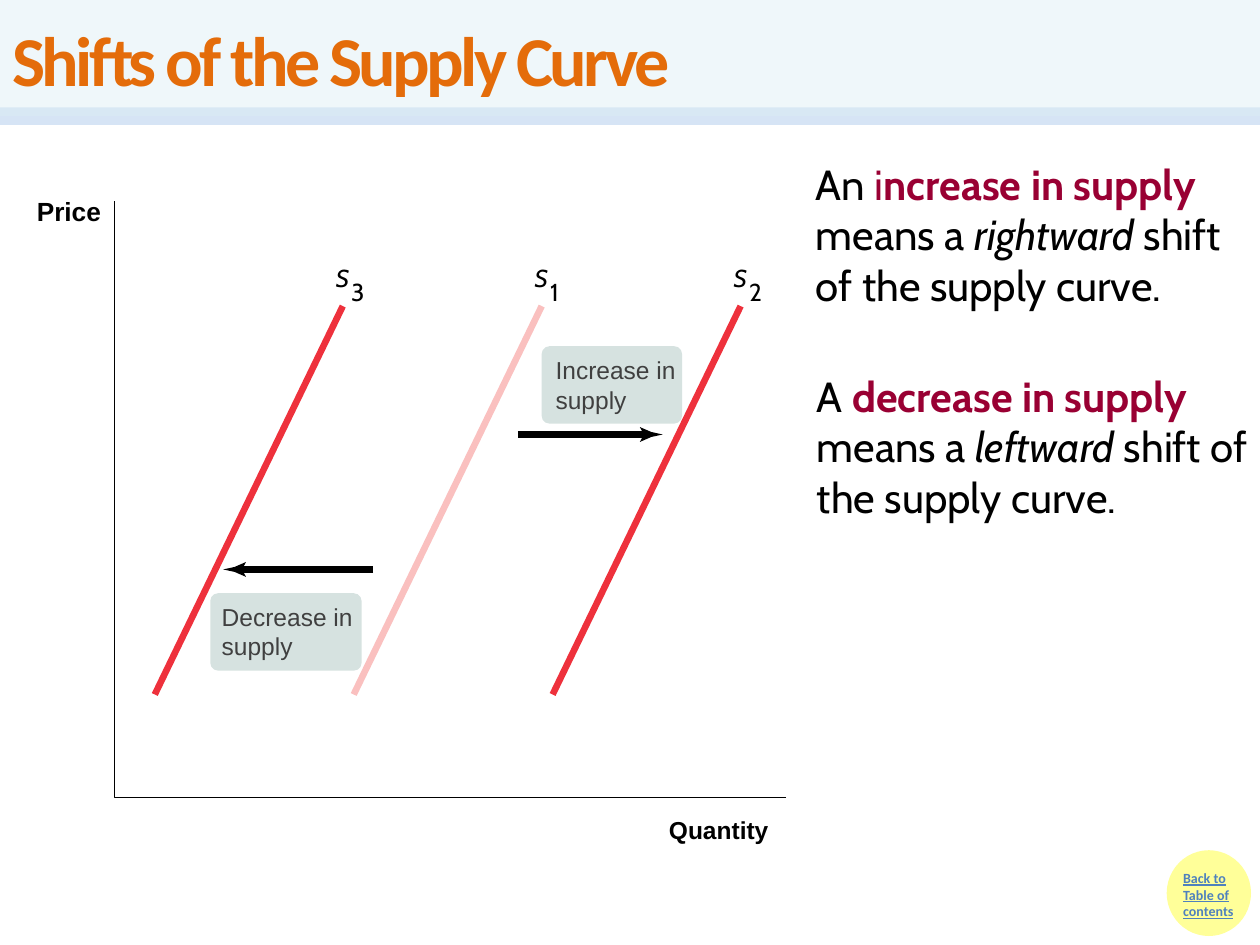
from dataclasses import dataclass

from lxml import etree
from pptx import Presentation
from pptx.dml.color import RGBColor
from pptx.enum.shapes import MSO_CONNECTOR, MSO_SHAPE
from pptx.enum.text import MSO_ANCHOR, PP_ALIGN
from pptx.oxml.ns import qn
from pptx.util import Cm, Pt

STRAIGHT = MSO_CONNECTOR.STRAIGHT
RECTANGLE = MSO_SHAPE.RECTANGLE
ROUNDED = MSO_SHAPE.ROUNDED_RECTANGLE
OVAL = MSO_SHAPE.OVAL
MIDDLE = MSO_ANCHOR.MIDDLE
LEFT = PP_ALIGN.LEFT
CENTER = PP_ALIGN.CENTER

BLACK = "000000"
RED = "EE313C"
PINK = "FAC0BF"
MAROON = "990033"
CURVE_STEP = 4.01
ARROWHEAD = [(0, 0), (-0.23, -0.05), (-0.46, -0.15), (-0.38, 0), (-0.46, 0.15), (-0.23, 0.05)]


@dataclass
class Span:
    text: str
    color: str = BLACK
    bold: bool = False
    italic: bool = False


@dataclass
class Label:
    text: str
    left: float
    top: float
    width: float
    height: float
    size: float
    font: str = "Arial"
    color: str = BLACK
    bold: bool = False
    italic: bool = False
    align: PP_ALIGN = LEFT
    tight: bool = False


@dataclass
class Curve:
    number: str
    position: int
    color: str


@dataclass
class Arrow:
    start: float
    tip: float
    y: float


@dataclass
class Definition:
    left: float
    top: float
    height: float
    spans: list[Span]


def rgb(color: str) -> RGBColor:
    return RGBColor.from_string(color)


def set_alpha(fill, percent: int) -> None:
    for color in fill.iter(qn("a:srgbClr")):
        etree.SubElement(color, qn("a:alpha")).set("val", str(percent * 1000))


def add_line(page, x1: float, y1: float, x2: float, y2: float, color: str, weight: float):
    line = page.shapes.add_connector(STRAIGHT, Cm(x1), Cm(y1), Cm(x2), Cm(y2))
    line.line.color.rgb = rgb(color)
    line.line.width = Pt(weight)
    etree.SubElement(line._element.spPr, qn("a:effectLst"))
    return line


def add_filled(page, kind, left: float, top: float, width: float, height: float, color: str):
    shape = page.shapes.add_shape(kind, Cm(left), Cm(top), Cm(width), Cm(height))
    shape.shadow.inherit = False
    shape.fill.solid()
    shape.fill.fore_color.rgb = rgb(color)
    shape.line.fill.background()
    return shape


def add_outline(page, points: list[tuple[float, float]], close: bool):
    corners = [(Cm(x), Cm(y)) for x, y in points]
    builder = page.shapes.build_freeform(*corners[0], scale=1.0)
    builder.add_line_segments(corners[1:], close=close)
    shape = builder.convert_to_shape()
    shape.shadow.inherit = False
    return shape


def add_label(page, label: Label):
    box = page.shapes.add_textbox(Cm(label.left), Cm(label.top), Cm(label.width), Cm(label.height))
    frame = box.text_frame
    frame.word_wrap = not label.tight
    if label.tight:
        frame.margin_left = frame.margin_right = frame.margin_top = frame.margin_bottom = 0
    para = frame.paragraphs[0]
    para.text = label.text
    para.alignment = label.align
    font = para.font
    font.name, font.size = label.font, Pt(label.size)
    font.bold, font.italic = label.bold, label.italic
    font.color.rgb = rgb(label.color)
    return box


def add_definition(page, definition: Definition) -> None:
    box = page.shapes.add_textbox(Cm(definition.left), Cm(definition.top), Cm(9.53), Cm(definition.height))
    box.text_frame.word_wrap = True
    para = box.text_frame.paragraphs[0]
    para._p.get_or_add_pPr().set("marL", str(Cm(0.32)))
    para.font.name, para.font.size = "Cabin", Pt(24)
    for span in definition.spans:
        run = para.add_run()
        run.text = span.text
        run.font.bold, run.font.italic = span.bold, span.italic
        run.font.color.rgb = rgb(span.color)


def add_curve(page, curve: Curve) -> None:
    top_x = 6.91 + curve.position * CURVE_STEP
    add_line(page, top_x, 6.17, top_x - 3.79, 14, curve.color, 3.75)
    add_label(page, Label("S", top_x - 0.14, 5.31, 0.33, 0.61, 14, "Cabin", italic=True, tight=True))
    add_label(page, Label(curve.number, top_x + 0.17, 5.59, 0.28, 0.48, 14, "Cabin", tight=True))


def add_arrow(page, arrow: Arrow) -> None:
    direction = 1 if arrow.tip > arrow.start else -1
    add_line(page, arrow.start, arrow.y, arrow.tip - 0.32 * direction, arrow.y, BLACK, 3.75)
    head = add_outline(page, [(arrow.tip + direction * x, arrow.y + y) for x, y in ARROWHEAD], True)
    head.fill.solid()
    head.fill.fore_color.rgb = rgb(BLACK)
    head.line.fill.background()


def add_title(page, text: str) -> None:
    band = add_filled(page, RECTANGLE, 0, 0, 25.4, 2.34, "DBEEF4")
    set_alpha(band._element.spPr, 44)
    band.text_frame.vertical_anchor = MIDDLE
    para = band.text_frame.paragraphs[0]
    para.alignment = LEFT
    span = para.add_run()
    span.text = text
    span._r.get_or_add_rPr().set("spc", "-200")
    para.font.name, para.font.size, para.font.bold = "Calibri", Pt(40), True
    para.font.color.rgb = rgb("E46C0A")


def main() -> None:
    deck = Presentation()
    deck.slide_width, deck.slide_height = Cm(25.4), Cm(19.05)
    page = deck.slides.add_slide(deck.slide_layouts[6])

    divider = add_line(page, 0, 2.34, 25.4, 2.34, "C6D9F1", 10)
    set_alpha(divider._element.spPr, 71)
    add_filled(page, OVAL, 23.52, 17.14, 1.7, 1.73, "FFFF99")
    back = Label("Back to Table of contents", 23.6, 17.4, 1.83, 1.7, 8, "Calibri", "4F81BD", True)
    add_label(page, back).text_frame.paragraphs[0].font.underline = True
    add_title(page, "Shifts of the Supply Curve")

    axes = add_outline(page, [(15.85, 16.08), (2.31, 16.08), (2.31, 4.06)], False)
    axes.fill.background()
    axes.line.color.rgb = rgb(BLACK)
    axes.line.width = Pt(1)
    for curve in (Curve("3", 0, RED), Curve("1", 1, PINK), Curve("2", 2, RED)):
        add_curve(page, curve)
    for arrow in (Arrow(10.44, 13.36, 8.76), Arrow(7.52, 4.5, 11.48)):
        add_arrow(page, arrow)
    for left, top, width in ((4.24, 11.96, 3.05), (10.92, 6.98, 2.83)):
        add_filled(page, ROUNDED, left, top, width, 1.56, "D6E2E0").adjustments[0] = 0.1
    for label in (
        Label("Price", -0.2, 3.81, 3.18, 0.76, 15, bold=True, align=CENTER),
        Label("Quantity", 12.9, 16.31, 3.18, 0.74, 14, bold=True, align=CENTER),
        Label("Decrease in supply", 4.22, 12.01, 3.18, 1.45, 14, color="404040"),
        Label("Increase in supply", 10.95, 7.04, 2.97, 1.45, 14, color="404040"),
    ):
        add_label(page, label)

    ending = Span(" shift of the supply curve.")
    increase = [Span("An "), Span("i", MAROON), Span("ncrease in supply ", MAROON, bold=True),
                Span("means a "), Span("rightward", italic=True), ending]
    decrease = [Span("A "), Span("decrease in supply ", MAROON, bold=True),
                Span("means a "), Span("leftward", italic=True), ending]
    add_definition(page, Definition(15.88, 3.07, 4.45, increase))
    add_definition(page, Definition(15.9, 7.34, 4.27, decrease))
    deck.save("out.pptx")


if __name__ == "__main__":
    main()
